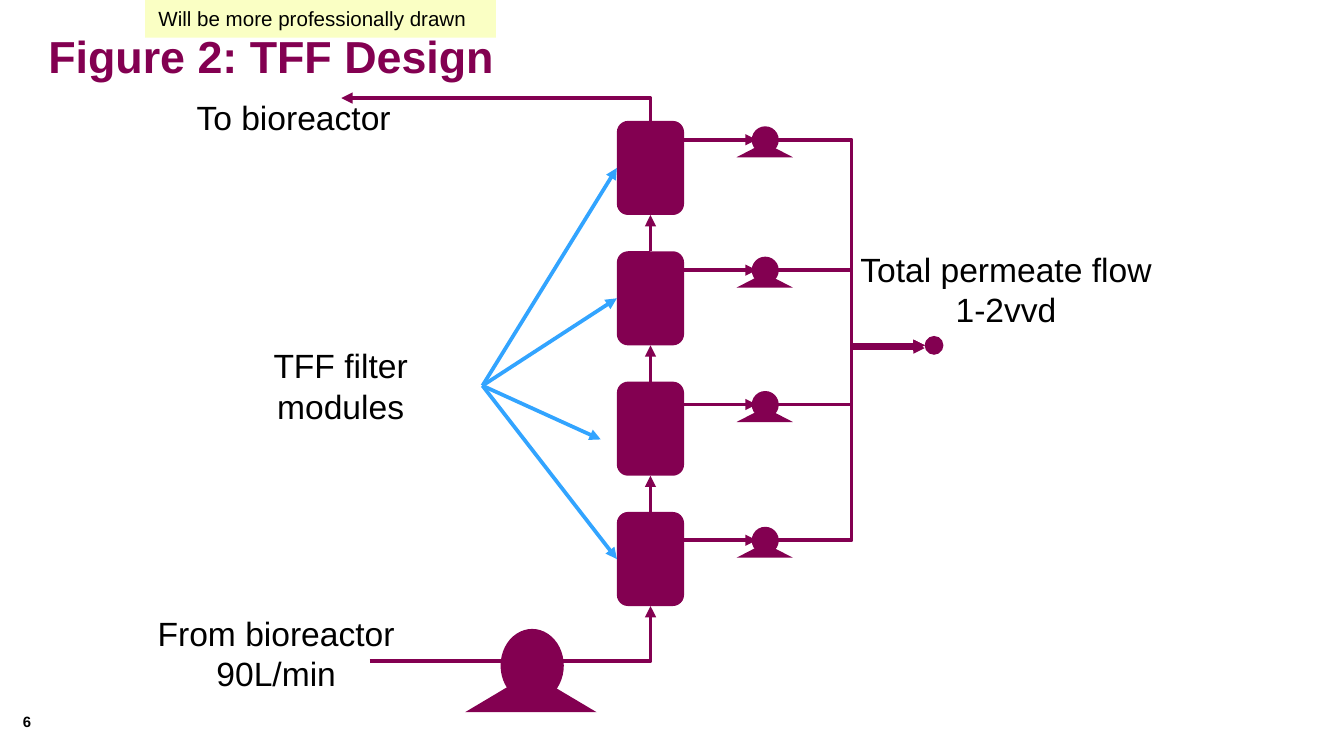
from lxml import etree
from pptx import Presentation
from pptx import util as u
from pptx.dml import color
from pptx.enum import shapes, text
from pptx.oxml import ns

PLUM, BLUE, YELLOW, BLACK = "830051", "32A4FF", "FAFFC4", "000000"
MODULE_WIDTH, MODULE_HEIGHT, MODULE_PITCH = 0.5, 0.7, 0.97
PUMP_CENTERS = (1.04, 2.01, 3.01, 4.02)


def rgb(value):
    return color.RGBColor.from_string(value)


def inches(*lengths):
    return [u.Inches(length) for length in lengths]


def format_text(box, lines, size, bold=False, hue=BLACK, align=text.PP_ALIGN.CENTER):
    frame = box.text_frame
    frame.word_wrap = True
    frame.text = "\n".join(lines)
    for para in frame.paragraphs:
        para.alignment = align
        para.font.name = "Arial"
        para.font.size = u.Pt(size)
        para.font.bold = bold
        para.font.color.rgb = rgb(hue)
    return frame


def add_label(page, box, lines, size=18, **style):
    return format_text(page.shapes.add_textbox(*inches(*box)), lines, size, **style)


def add_solid(parent, kind, box, fill=PLUM):
    shape = parent.shapes.add_shape(kind, *inches(*box))
    shape.shadow.inherit = False
    shape.fill.solid()
    shape.fill.fore_color.rgb = rgb(fill)
    shape.line.fill.background()
    return shape


def add_flow(page, start, end, hue=PLUM, kind=shapes.MSO_CONNECTOR.STRAIGHT, arrow="tailEnd"):
    line = page.shapes.add_connector(kind, *inches(*start, *end))
    line.line.width = u.Pt(2)
    line.line.color.rgb = rgb(hue)
    properties = line._element.spPr
    etree.SubElement(properties.find(ns.qn("a:ln")), ns.qn("a:" + arrow), type="triangle")
    etree.SubElement(properties, ns.qn("a:effectLst"))
    return line


def add_corner_flow(page, start, end, module, site, arrow):
    line = add_flow(page, start, end, kind=shapes.MSO_CONNECTOR.ELBOW, arrow=arrow)
    line._element.spPr.find(ns.qn("a:prstGeom")).set("prst", "bentConnector2")
    line.end_connect(module, site)


def add_pump(page, box):
    left, top, width, height = box
    pump = page.shapes.add_group_shape()
    head = (left + 0.27 * width, top, 0.48 * width, 0.88 * height)
    base = (left, top + 0.53 * height, width, 0.47 * height)
    add_solid(pump, shapes.MSO_SHAPE.OVAL, head)
    add_solid(pump, shapes.MSO_SHAPE.ISOSCELES_TRIANGLE, base)


def add_header(page):
    title = page.shapes.title
    title.left, title.top, title.width, title.height = inches(0.26, 0.16, 9.59, 0.55)
    frame = format_text(title, ["Figure 2: TFF Design"], 24, True, PLUM, text.PP_ALIGN.LEFT)
    frame.vertical_anchor = text.MSO_ANCHOR.TOP
    note = add_solid(page, shapes.MSO_SHAPE.RECTANGLE, (1.08, -0.01, 2.61, 0.29), YELLOW)
    format_text(note, ["Will be more professionally drawn"], 11, align=text.PP_ALIGN.LEFT)


def add_modules(page, left, top):
    center = left + MODULE_WIDTH / 2
    modules = []
    for index in range(4):
        module_top = top + index * MODULE_PITCH
        box = (left, module_top, MODULE_WIDTH, MODULE_HEIGHT)
        modules.append(add_solid(page, shapes.MSO_SHAPE.ROUNDED_RECTANGLE, box))
        if index:
            add_flow(page, (center, module_top), (center, module_top - MODULE_PITCH + MODULE_HEIGHT))
    bottom = top + 3 * MODULE_PITCH + MODULE_HEIGHT
    add_corner_flow(page, (2.75, 4.92), (center, bottom), modules[-1], 2, "tailEnd")
    add_corner_flow(page, (2.54, 0.73), (center, top), modules[0], 0, "headEnd")


def add_permeate(page, left, outlet):
    for center in PUMP_CENTERS:
        add_flow(page, (left, center), (left + 0.54, center))
        add_pump(page, (left + 0.39, center - 0.1, 0.42, 0.23))
        end = outlet + 0.02 if center == PUMP_CENTERS[2] else outlet
        add_flow(page, (left + 0.7, center), (left + 1.79, end), kind=shapes.MSO_CONNECTOR.ELBOW)
    add_solid(page, shapes.MSO_SHAPE.OVAL, (left + 1.79, outlet - 0.07, 0.14, 0.14))


def add_callouts(page, start):
    for end in ((4.59, 1.25), (4.59, 2.22), (4.47, 3.27), (4.59, 4.16)):
        add_flow(page, start, end, BLUE)


def add_labels(page):
    add_label(page, (1.48, 2.52, 2.11, 0.71), ["TFF filter modules"])
    add_label(page, (0.76, 4.51, 2.59, 0.71), ["From bioreactor", "90L/min"])
    add_label(page, (1.27, 0.67, 1.83, 0.4), ["To bioreactor"])
    add_label(page, (6.19, 1.8, 2.59, 0.71), ["Total permeate flow", "1-2vvd"])
    number = add_label(page, (0.17, 5.3, 0.43, 0.18), ["6"], 8, bold=True, align=text.PP_ALIGN.LEFT)
    number.margin_left = number.margin_top = number.margin_right = number.margin_bottom = 0


def main():
    deck = Presentation()
    deck.slide_width = u.Inches(10)
    deck.slide_height = deck.slide_width * 9 // 16
    page = deck.slides.add_slide(deck.slide_layouts[5])
    add_header(page)
    add_modules(page, 4.59, 0.9)
    add_permeate(page, 5.09, 2.57)
    add_callouts(page, (3.59, 2.87))
    add_pump(page, (3.46, 4.68, 0.98, 0.62))
    add_labels(page)
    deck.save("out.pptx")


if __name__ == "__main__":
    main()
